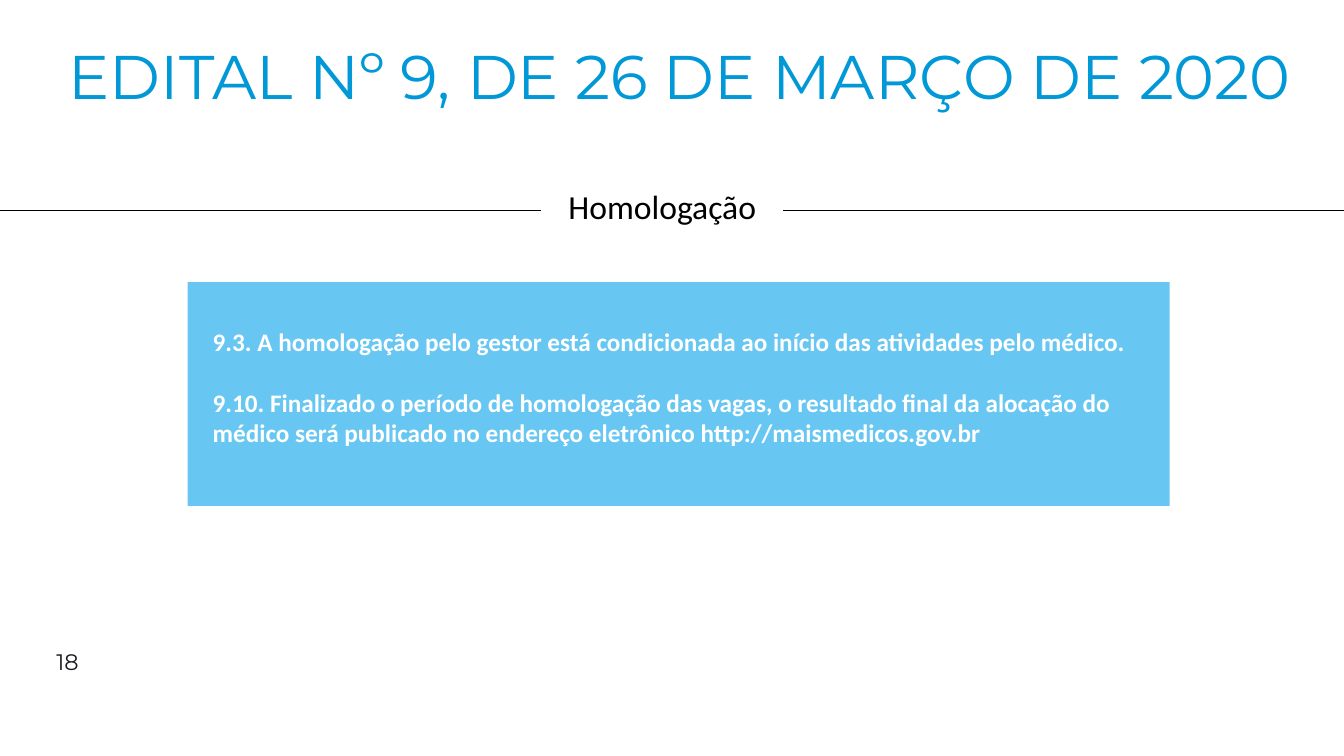
from dataclasses import dataclass

from lxml.etree import SubElement
from pptx import Presentation
from pptx.dml.color import RGBColor
from pptx.enum.shapes import MSO_CONNECTOR, MSO_SHAPE
from pptx.enum.text import MSO_ANCHOR, PP_ALIGN
from pptx.oxml.ns import qn
from pptx.util import Cm, Pt


@dataclass(frozen=True)
class Theme:
    title_blue: RGBColor = RGBColor(0x00, 0x98, 0xD6)
    panel_blue: RGBColor = RGBColor(0x67, 0xC7, 0xF2)
    ink: RGBColor = RGBColor(0x18, 0x19, 0x1E)
    black: RGBColor = RGBColor(0, 0, 0)
    white: RGBColor = RGBColor(0xFF, 0xFF, 0xFF)
    heading_font: str = "Montserrat"
    body_font: str = "Calibri"
    title_size: Pt = Pt(44)
    subtitle_size: Pt = Pt(24)
    body_size: Pt = Pt(18)
    number_size: Pt = Pt(16)
    rule_width: Pt = Pt(0.5)


theme = Theme()
prs = Presentation()
prs.slide_width, prs.slide_height = Cm(33.86), Cm(19.05)
slide = prs.slides.add_slide(prs.slide_layouts[6])


def add_text(text, left, top, width, height, *, font, size, color, bold=False,
             align=PP_ALIGN.LEFT, anchor=MSO_ANCHOR.TOP, line_spacing=1.0, gap=Pt(0)):
    """Place a text box, one paragraph per line of text, with gap between them."""
    frame = slide.shapes.add_textbox(Cm(left), Cm(top), Cm(width), Cm(height)).text_frame
    frame.word_wrap = True
    frame.vertical_anchor = anchor
    frame.text = text
    for index, paragraph in enumerate(frame.paragraphs):
        paragraph.alignment = align
        paragraph.line_spacing = line_spacing
        paragraph.space_before = gap if index else Pt(0)
        run_font = paragraph.runs[0].font
        run_font.name, run_font.size, run_font.bold = font, size, bold
        run_font.color.rgb = color


panel = slide.shapes.add_shape(MSO_SHAPE.RECTANGLE, Cm(4.73), Cm(7.11), Cm(24.74), Cm(5.64))
panel.shadow.inherit = False
panel.fill.solid()
panel.fill.fore_color.rgb = theme.panel_blue
panel.line.fill.background()

add_text("EDITAL Nº 9, DE 26 DE MARÇO DE 2020", 1.17, 1.04, 31.93, 3.68,
         font=theme.heading_font, size=theme.title_size, color=theme.title_blue,
         align=PP_ALIGN.CENTER, line_spacing=0.9)
add_text("18", 1.17, 16.15, 7.62, 1.02, font=theme.heading_font,
         size=theme.number_size, color=theme.ink, anchor=MSO_ANCHOR.MIDDLE)
add_text("Homologação", 2.41, 4.57, 28.55, 1.27, font=theme.body_font,
         size=theme.subtitle_size, color=theme.black, align=PP_ALIGN.CENTER)
add_text("9.3. A homologação pelo gestor está condicionada ao início das atividades pelo médico.\n"
         "9.10. Finalizado o período de homologação das vagas, o resultado final da alocação do "
         "médico será publicado no endereço eletrônico http://maismedicos.gov.br",
         5.11, 8.1, 23.65, 3.33, font=theme.body_font, size=theme.body_size,
         color=theme.white, bold=True, gap=Pt(22))

rule_y = Cm(5.29)
for start, end in ((0, Cm(13.64)), (Cm(19.74), prs.slide_width)):
    rule = slide.shapes.add_connector(MSO_CONNECTOR.STRAIGHT, start, rule_y, end, rule_y)
    rule.line.color.rgb = theme.black
    rule.line.width = theme.rule_width
    SubElement(rule._element.spPr, qn("a:effectLst"))

prs.save("out.pptx")
